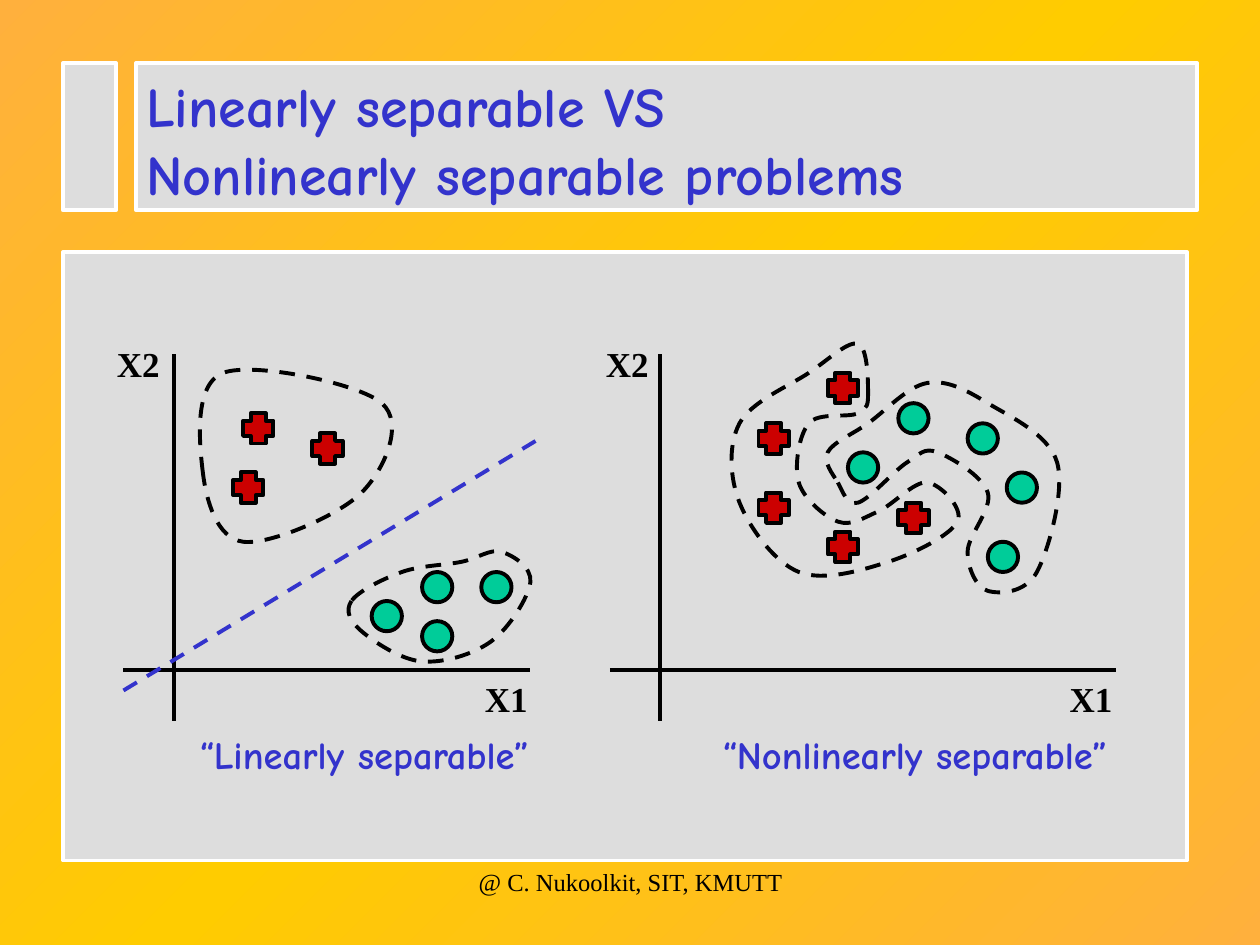
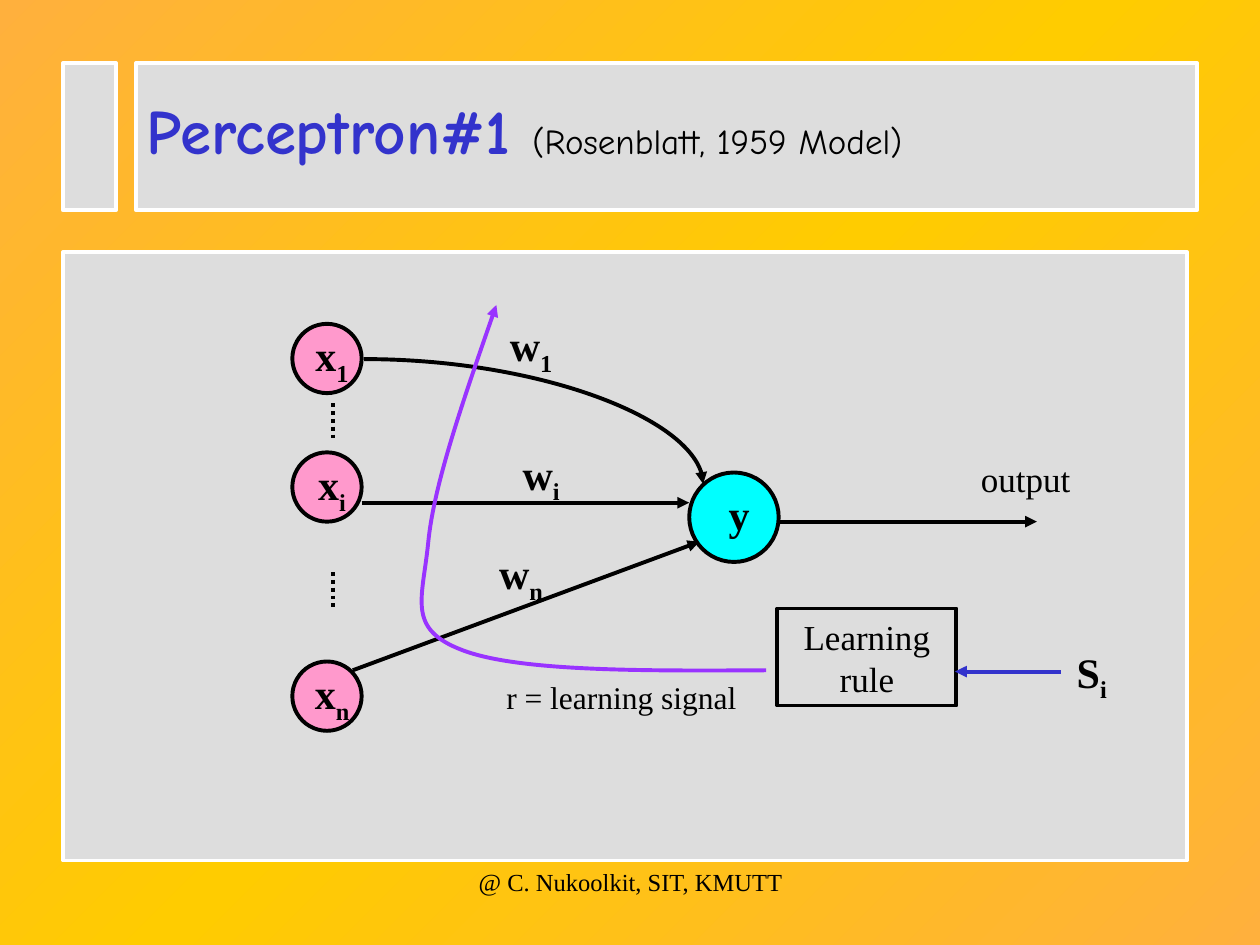
"""Build two slides on separable problems and the perceptron."""
import copy

import pptx
import pptx.dml.color
import pptx.enum.dml
import pptx.enum.shapes
import pptx.enum.text
import pptx.oxml
import pptx.oxml.ns
import pptx.util

Inches = pptx.util.Inches
SHAPE = pptx.enum.shapes.MSO_SHAPE
CONNECTOR = pptx.enum.shapes.MSO_CONNECTOR
DASH = pptx.enum.dml.MSO_LINE.DASH
DOT = pptx.enum.dml.MSO_LINE.ROUND_DOT
ALIGN = pptx.enum.text.PP_ALIGN
qn = pptx.oxml.ns.qn

BLACK, WHITE, BLUE, PANEL = "000000", "FFFFFF", "3333CC", "DDDDDD"
RED, GREEN, PINK, CYAN, PURPLE = "CC0000", "00CC99", "FF99CC", "00FFFF", "9933FF"
ORANGE, YELLOW = "FFB03D", "FFCC00"
SERIF, COMIC = "Times New Roman", "Comic Neue"
FOOTER = "@ C. Nukoolkit, SIT, KMUTT"
PANELS = [(0.5, 0.5, 0.42, 1.17), (1.08, 0.5, 8.42, 1.17), (0.5, 2, 8.92, 4.83)]
MARKER = 0.24
NODE = 0.55


def rgb(color):
    return pptx.dml.color.RGBColor.from_string(color)


def set_font(font, size, color=BLACK, bold=False, name=SERIF):
    font.size = pptx.util.Pt(size)
    font.color.rgb = rgb(color)
    font.bold = bold
    font.name = name


def style_line(line, color, dash=None):
    line.color.rgb = rgb(color)
    line.width = pptx.util.Pt(2.25)
    if dash:
        line.dash_style = dash


def add_arrowhead(shape):
    tail = pptx.oxml.parse_xml(f'<a:tailEnd {pptx.oxml.ns.nsdecls("a")} type="triangle"/>')
    shape.element.spPr.find(qn("a:ln")).append(tail)


def add_figure(page, kind, left, top, width, height, fill=None, line=BLACK):
    shape = page.shapes.add_shape(kind, *map(Inches, (left, top, width, height)))
    shape.shadow.inherit = False
    if fill:
        shape.fill.solid()
        shape.fill.fore_color.rgb = rgb(fill)
    else:
        shape.fill.background()
    style_line(shape.line, line)
    return shape


def add_markers(page, kind, fill, corners):
    for left, top in corners:
        add_figure(page, kind, left, top, MARKER, MARKER, fill)


def add_line(page, start, end, color=BLACK, dash=None, arrow=False, kind=CONNECTOR.STRAIGHT):
    connector = page.shapes.add_connector(kind, *map(Inches, (*start, *end)))
    style_line(connector.line, color, dash)
    properties = connector.element.spPr
    properties.append(properties.makeelement(qn("a:effectLst")))
    if kind == CONNECTOR.CURVE:
        properties.find(qn("a:prstGeom")).set("prst", "curvedConnector2")
    if arrow:
        add_arrowhead(connector)


def midpoint(first, second):
    return tuple((a + b) / 2 for a, b in zip(first, second))


def spline_points(knots, closed):
    """Return the start and the Bezier points of a smooth curve through the knots."""
    count = len(knots)
    handles = []
    for index, knot in enumerate(knots):
        before, after = knots[index - 1], knots[(index + 1) % count]
        slope = [(b - a) / 6 for a, b in zip(before, after)]
        handles.append((tuple(k - s for k, s in zip(knot, slope)),
                        tuple(k + s for k, s in zip(knot, slope))))
    if not closed:
        handles[0] = (None, midpoint(knots[0], handles[1][0]))
        handles[-1] = (midpoint(knots[-1], handles[-2][1]), None)
    points = [knots[0]]
    for index in range(count if closed else count - 1):
        following = (index + 1) % count
        points += [handles[index][1], handles[following][0], knots[following]]
    return points


def add_curve(page, knots, color=BLACK, dash=None, closed=True):
    points = [tuple(map(Inches, point)) for point in spline_points(knots, closed)]
    builder = page.shapes.build_freeform(*points[0])
    builder.add_line_segments(points[1:], close=closed)
    curve = builder.convert_to_shape()
    curve.shadow.inherit = False
    curve.fill.background()
    style_line(curve.line, color, dash)
    segments = list(curve.element.iter(qn("a:lnTo")))
    for index in range(0, len(segments), 3):
        bezier = segments[index].makeelement(qn("a:cubicBezTo"))
        segments[index].addprevious(bezier)
        for segment in segments[index:index + 3]:
            bezier.append(segment[0])
            segment.getparent().remove(segment)
    return curve


def add_text(page, text, left, top, width, height, size, color=BLACK, bold=False,
             name=SERIF, align=ALIGN.CENTER, subscript=None):
    box = page.shapes.add_textbox(*map(Inches, (left, top, width, height)))
    box.text_frame.word_wrap = True
    para = box.text_frame.paragraphs[0]
    para.alignment = align
    para.add_run().text = text
    if subscript:
        span = para.add_run()
        span.text = subscript
        span.font._element.set("baseline", "-25000")
    set_font(para.font, size, color, bold, name)


def add_symbol(page, text, subscript, left, top, width=0.79):
    add_text(page, text, left, top, width, 0.56, 24, bold=True, subscript=subscript)


def set_background(master):
    fill = master.background.fill
    fill.gradient()
    fill.gradient_angle = 135
    stops = master.element.find(".//" + qn("a:gsLst"))
    stops.insert(1, copy.deepcopy(stops[0]))
    for stop, color, position in zip(fill.gradient_stops, (ORANGE, YELLOW, ORANGE), (0, 0.5, 1)):
        stop.color.rgb = rgb(color)
        stop.position = position


def add_page(deck, top, height):
    """Add a slide with panels and footer and return it with its title paragraph."""
    page = deck.slides.add_slide(deck.slide_layouts[5])
    title = page.shapes.title
    title.left, title.top, title.width, title.height = map(Inches, (1.06, top, 8.74, height))
    title.text_frame.vertical_anchor = pptx.enum.text.MSO_ANCHOR.TOP
    title.text_frame.auto_size = pptx.enum.text.MSO_AUTO_SIZE.NONE
    for panel in PANELS:
        add_figure(page, SHAPE.RECTANGLE, *panel, PANEL, WHITE)
    tree = title.element.getparent()
    tree.append(title.element)
    add_text(page, FOOTER, 3.42, 6.83, 3.17, 0.5, 14)
    para = title.text_frame.paragraphs[0]
    para.alignment = ALIGN.LEFT
    return page, para


def add_axes(page, left, right, upright, x_label, y_label):
    add_line(page, (upright, 2.81), (upright, 5.72))
    add_line(page, (left, 5.32), (right, 5.32))
    for text, label_left, top in (("X1", x_label, 5.33), ("X2", y_label, 2.67)):
        add_text(page, text, label_left, top, 0.6, 0.44, 20, bold=True, align=ALIGN.LEFT)


def build_separability(deck):
    page, title = add_page(deck, 0.52, 1.17)
    title.text = "Linearly separable VS\vNonlinearly separable problems"
    set_font(title.font, 32, BLUE, True, COMIC)

    add_axes(page, 0.98, 4.21, 1.38, 3.75, 0.83)
    add_axes(page, 4.84, 8.86, 5.24, 8.39, 4.71)
    add_line(page, (0.98, 5.48), (4.25, 3.5), BLUE, DASH)

    add_markers(page, SHAPE.OVAL, GREEN, [
        (2.95, 4.77), (3.35, 4.54), (3.82, 4.54), (3.35, 4.93),
        (6.73, 3.59), (7.13, 3.2), (7.68, 3.36), (7.99, 3.75), (7.84, 4.3)])
    add_markers(page, SHAPE.CROSS, RED, [
        (1.93, 3.28), (2.48, 3.44), (1.85, 3.75),
        (6.57, 2.96), (6.02, 3.36), (6.02, 3.91), (6.57, 4.22), (7.13, 3.99)])

    linear_crosses = [(1.61, 3.75), (1.77, 2.96), (3.03, 3.2), (2.87, 3.91), (1.93, 4.3)]
    linear_circles = [(2.79, 4.77), (2.87, 5.01), (3.35, 5.25), (3.9, 5.09),
                      (4.21, 4.62), (3.98, 4.38), (3.66, 4.46), (3.19, 4.54)]
    nonlinear_circles = [(6.65, 3.83), (6.81, 3.99), (7.2, 3.67), (7.44, 3.59),
                         (7.84, 3.91), (7.68, 4.38), (7.84, 4.69), (8.23, 4.54),
                         (8.39, 3.67), (7.84, 3.2), (7.36, 3.04), (6.89, 3.36), (6.57, 3.59)]
    nonlinear_crosses = [(6.89, 3.12), (6.81, 2.73), (6.42, 2.96), (5.87, 3.36),
                         (5.87, 3.99), (6.34, 4.54), (7.05, 4.46), (7.6, 4.14), (7.36, 3.83),
                         (6.97, 4.06), (6.65, 4.14), (6.34, 3.83), (6.42, 3.36), (6.81, 3.28)]
    for knots in (linear_crosses, linear_circles, nonlinear_circles, nonlinear_crosses):
        add_curve(page, knots, dash=DASH)

    for text, left, width in (("“Linearly separable”", 1.08, 3.62),
                              ("“Nonlinearly separable”", 5.25, 4.02)):
        add_text(page, text, left, 5.75, width, 0.47, 22, BLUE, True, COMIC)


def build_perceptron(deck):
    page, title = add_page(deck, 0.68, 0.7)
    for text, size, color, bold in (("Perceptron#1 ", 36, BLUE, True),
                                    ("(Rosenblatt, 1959 Model)", 20, BLACK, False)):
        span = title.add_run()
        span.text = text
        set_font(span.font, size, color, bold, COMIC)

    for subscript, top in (("1", 2.57), ("i", 3.59), ("n", 5.25)):
        add_figure(page, SHAPE.OVAL, 2.32, top, NODE, NODE, PINK)
        add_symbol(page, "x", subscript, 2.24, top)
    add_figure(page, SHAPE.OVAL, 5.47, 3.75, 0.71, 0.71, CYAN)
    add_symbol(page, "y", None, 5.47, 3.83)

    add_line(page, (2.89, 2.85), (5.58, 3.84), arrow=True, kind=CONNECTOR.CURVE)
    for start, end in (((2.87, 3.99), (5.47, 3.99)), ((2.8, 5.32), (5.55, 4.3)),
                       ((6.18, 4.14), (8.23, 4.14))):
        add_line(page, start, end, arrow=True)
    for top in (3.2, 4.54):
        add_line(page, (2.64, top), (2.64, top + 0.31), dash=DOT)

    for subscript, left, top in (("1", 3.82, 2.49), ("i", 3.9, 3.51), ("n", 3.74, 4.3)):
        add_symbol(page, "w", subscript, left, top)
    add_text(page, "output", 7.58, 3.58, 1.12, 0.44, 20)
    add_text(page, "r = learning signal", 3.92, 5.33, 2.67, 0.4, 18, align=ALIGN.LEFT)

    rule = add_figure(page, SHAPE.RECTANGLE, 6.17, 4.83, 1.42, 0.77)
    rule.text_frame.word_wrap = True
    para = rule.text_frame.paragraphs[0]
    para.text = "Learning rule"
    para.alignment = ALIGN.CENTER
    set_font(para.font, 20)
    add_symbol(page, "S", "i", 8.25, 5.08, 0.83)
    add_line(page, (8.42, 5.33), (7.58, 5.33), BLUE, arrow=True)
    signal = add_curve(page, [(6.08, 5.32), (3.67, 5.16), (3.4, 4.3), (3.94, 2.42)],
                       PURPLE, closed=False)
    add_arrowhead(signal)


def main():
    deck = pptx.Presentation()
    deck.slide_width, deck.slide_height = Inches(10), Inches(7.5)
    set_background(deck.slide_master)
    build_separability(deck)
    build_perceptron(deck)
    deck.save("out.pptx")


if __name__ == "__main__":
    main()
